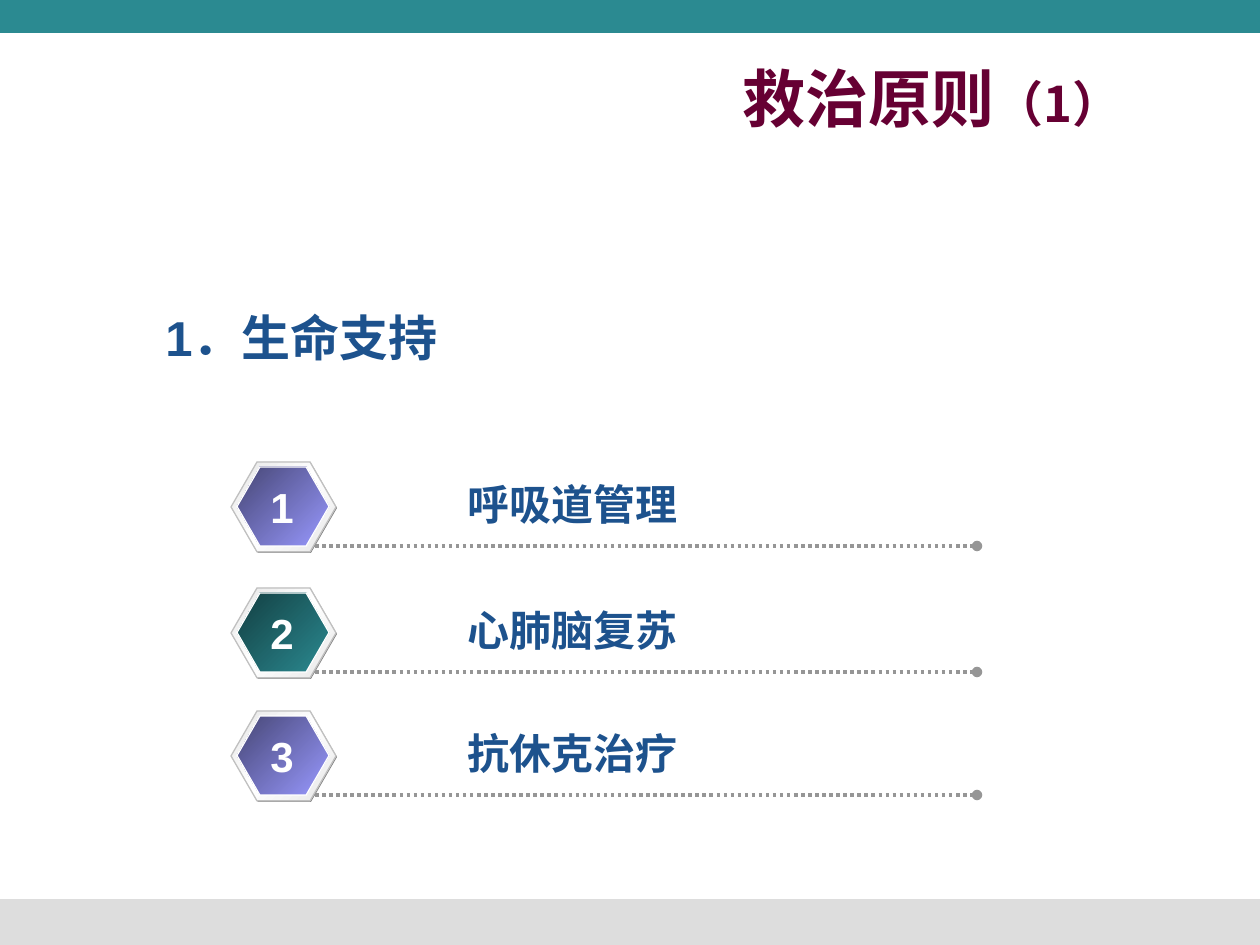
from copy import deepcopy

from lxml.etree import SubElement
from pptx import Presentation
from pptx.dml.color import RGBColor as RGB
from pptx.enum.dml import MSO_LINE as DASH
from pptx.enum.shapes import MSO_CONNECTOR as LINK, MSO_SHAPE as KIND
from pptx.enum.text import MSO_AUTO_SIZE as FIT, PP_ALIGN as ALIGN
from pptx.oxml.ns import qn
from pptx.util import Emu, Pt

WIDE, HIGH = 1260, 945
HAN = "Noto Sans CJK SC"
INK = {
    "bar": "2B8A91", "foot": "DDDDDD", "title": "660033", "text": "1D528D",
    "white": "FFFFFF", "shade": "808080", "silver": "E6E6E6", "edge": "C0C0C0",
    "dots": "969696", "violet": "9999FF", "dusk": "464675", "pine": "133F42",
}
ROWS = [
    (462, "呼吸道管理", ("violet", "dusk")),
    (588, "心肺脑复苏", ("bar", "pine")),
    (711, "抗休克治疗", ("violet", "dusk")),
]


def px(n):
    return Emu(round(n * 914400 / 126))


def hue(name):
    return RGB.from_string(INK[name])


def draw(shapes, kind, box, fills, edge=None):
    """One fill name gives a solid, several give an evenly stepped gradient."""
    shape = shapes.add_shape(kind, *map(px, box))
    shape.shadow.inherit = False
    fill = shape.fill
    if len(fills) == 1:
        fill.solid()
        fill.fore_color.rgb = hue(fills[0])
    else:
        fill.gradient()
        fill.gradient_angle = 135
        stops = shape._element.spPr.find(".//" + qn("a:gsLst"))
        while len(stops) < len(fills):
            stops.append(deepcopy(stops[0]))
        for i, (stop, name) in enumerate(zip(fill.gradient_stops, fills)):
            stop.position = i / (len(fills) - 1)
            stop.color.rgb = hue(name)
    if edge:
        shape.line.color.rgb = hue(edge)
        shape.line.width = Pt(0.75)
    else:
        shape.line.fill.background()
    return shape


def hexa(shapes, box, fills, edge=None):
    shape = draw(shapes, KIND.HEXAGON, box, fills, edge)
    shape.adjustments[0] = 0.289


def write(shapes, box, parts, ink, font="Arial", align=ALIGN.LEFT, wrap=False):
    """Parts are (text, size) runs of a single paragraph."""
    frame = shapes.add_textbox(*map(px, box)).text_frame
    frame.word_wrap = wrap
    frame.auto_size = FIT.SHAPE_TO_FIT_TEXT
    para = frame.paragraphs[0]
    para.alignment = align
    para.font.name = font
    para.font.bold = True
    para.font.color.rgb = hue(ink)
    if len(parts) == 1:
        para.font.size = Pt(parts[0][1])
    for text, size in parts:
        run = para.add_run()
        run.text = text
        if len(parts) > 1:
            run.font.size = Pt(size)


def rule(shapes, x, y, width):
    line = shapes.add_connector(LINK.STRAIGHT, px(x), px(y), px(x + width), px(y))
    line.line.color.rgb = hue("dots")
    line.line.width = Pt(2)
    line.line.dash_style = DASH.ROUND_DOT
    props = line._element.spPr
    SubElement(props.find(qn("a:ln")), qn("a:tailEnd"), type="oval")
    SubElement(props, qn("a:effectLst"))


def item(slide, x, y, num, label, fills):
    parts = slide.shapes.add_group_shape().shapes
    hexa(parts, (x + 1, y + 1, 105, 90), ["shade"])
    hexa(parts, (x, y, 105, 90), ["silver", "white", "silver"], "edge")
    hexa(parts, (x + 6, y + 5, 92, 79), fills, "white")
    rule(parts, x + 84, y + 84, 662)
    write(parts, (x + 224, y + 10, 255, 63), [(label, 24)], "text")
    write(parts, (x + 27, y + 13, 48, 63), [(str(num), 24)], "white",
          align=ALIGN.CENTER)


def bands(slide):
    draw(slide.shapes, KIND.RECTANGLE, (0, HIGH - 46, WIDE, 46), ["foot"])
    draw(slide.shapes, KIND.RECTANGLE, (0, 0, WIDE, 33), ["bar"])


def main():
    deck = Presentation()
    deck.slide_width, deck.slide_height = px(WIDE), px(HIGH)
    slide = deck.slides.add_slide(deck.slide_layouts[6])
    bands(slide)
    write(slide.shapes, (153, 301, 320, 84), [("1．生命支持", 28)], "text")
    for num, (y, label, fills) in enumerate(ROWS, 1):
        item(slide, 231, y, num, label, fills)
    write(slide.shapes, (105, 53, 1029, 88), [("救治原则", 36), ("（1）", 28)],
          "title", HAN, ALIGN.RIGHT, True)
    deck.save("out.pptx")


if __name__ == "__main__":
    main()
